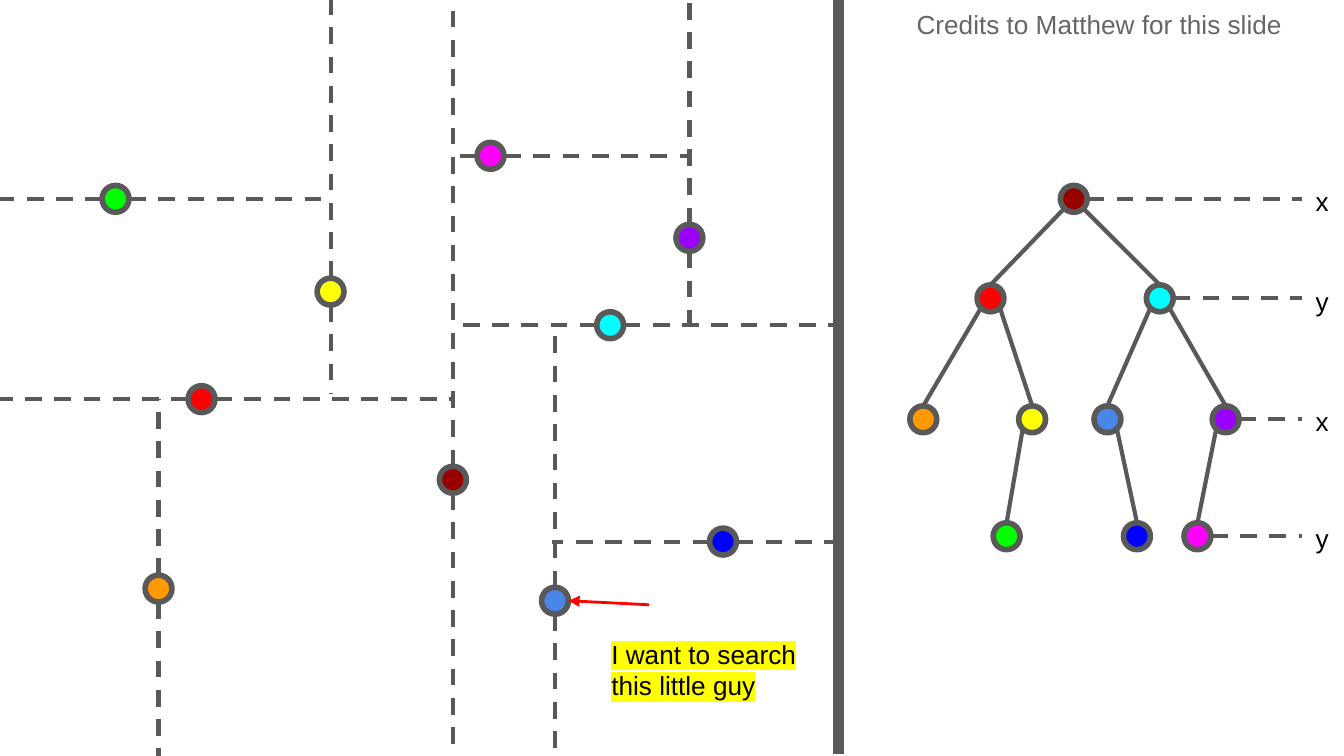
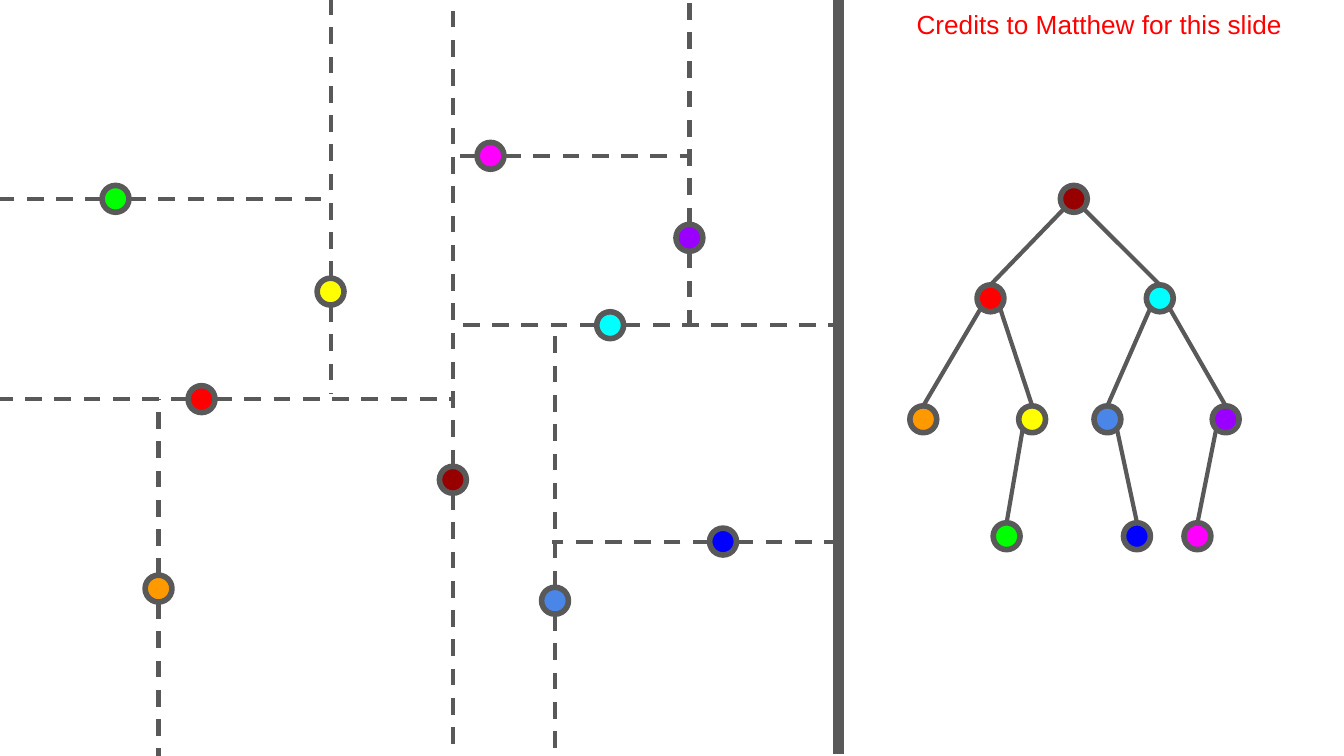
from pptx import Presentation
from pptx.dml.color import RGBColor
from pptx.enum.dml import MSO_LINE
from pptx.enum.shapes import MSO_CONNECTOR, MSO_SHAPE
from pptx.enum.text import PP_ALIGN
from pptx.oxml.ns import qn
from pptx.util import Inches, Pt
from lxml import etree

STRAIGHT = MSO_CONNECTOR.STRAIGHT
OVAL = MSO_SHAPE.OVAL
DASH = MSO_LINE.DASH
LEFT, CENTER = PP_ALIGN.LEFT, PP_ALIGN.CENTER

THEME = {
    "font": "Arial", "size": 14, "text": "000000", "muted": "666666",
    "alert": "FF0000", "highlight": "FFFF00", "line": "595959",
    "line_width": 2.25, "ring_width": 3, "divider_width": 6, "arrow_width": 1.5,
    "green": "00FF00", "yellow": "FFFF00", "red": "FF0000", "maroon": "980000",
    "cyan": "00FFFF", "navy": "0000FF", "purple": "9900FF", "blue": "4A86E8",
    "magenta": "FF00FF", "orange": "FF9900",
}

RADIUS = 0.1
DIAGONAL = 0.07

# colour, centre x, centre y, split axis, far ends of the split line
PLANE = [
    ("green", 0.86, 1.48, "y", -0.07, 2.47),
    ("yellow", 2.46, 2.17, "x", 0, 2.93),
    ("red", 1.5, 2.97, "y", -0.07, 3.37),
    ("maroon", 3.37, 3.57, "x", -0.05, 5.66),
    ("cyan", 4.54, 2.42, "y", 3.36, 6.25),
    ("navy", 5.38, 4.03, "y", 4.11, 6.26),
    ("purple", 5.13, 1.77, "x", 0.01, 2.43),
    ("blue", 4.13, 4.47, "x", 2.41, 5.64),
    ("magenta", 3.65, 1.16, "y", 3.38, 5.12),
    ("orange", 1.18, 4.38, "x", 2.97, 5.65),
]

LEVELS = [
    (1.48, "x", {"maroon": 7.99}),
    (2.22, "y", {"red": 7.37, "cyan": 8.63}),
    (3.12, "x", {"orange": 6.87, "yellow": 7.68, "blue": 8.24, "purple": 9.12}),
    (3.99, "y", {"green": 7.49, "navy": 8.46, "magenta": 8.91}),
]

EDGES = [
    ("maroon", "red"), ("maroon", "cyan"), ("red", "orange"), ("red", "yellow"),
    ("cyan", "blue"), ("cyan", "purple"), ("yellow", "green"),
    ("blue", "navy"), ("purple", "magenta"),
]


def add_line(s, x1, y1, x2, y2, color="line", width="line_width", dash=None, arrow=False):
    c = s.shapes.add_connector(STRAIGHT, Inches(x1), Inches(y1), Inches(x2), Inches(y2))
    c.line.color.rgb = RGBColor.from_string(THEME[color])
    c.line.width = Pt(THEME[width])
    if dash:
        c.line.dash_style = dash
    spPr = c._element.spPr
    if arrow:
        etree.SubElement(spPr.find(qn("a:ln")), qn("a:tailEnd"), type="triangle")
    etree.SubElement(spPr, qn("a:effectLst"))
    return c


def add_text(s, x, y, w, h, text, color="text", align=LEFT, highlight=None):
    tf = s.shapes.add_textbox(Inches(x), Inches(y), Inches(w), Inches(h)).text_frame
    tf.word_wrap = True
    for side in ("left", "top", "right", "bottom"):
        setattr(tf, f"margin_{side}", Inches(0.1))
    p = tf.paragraphs[0]
    p.alignment = align
    r = p.add_run()
    r.text = text
    for name, value in {"name": THEME["font"], "size": Pt(THEME["size"])}.items():
        setattr(r.font, name, value)
    r.font.color.rgb = RGBColor.from_string(THEME[color])
    if highlight:
        mark = etree.Element(qn("a:highlight"))
        etree.SubElement(mark, qn("a:srgbClr"), val=THEME[highlight])
        r.font._element.find(qn("a:solidFill")).addnext(mark)


prs = Presentation()
prs.slide_width = Inches(10)
prs.slide_height = prs.slide_width * 9 // 16

for credit_color, searching in (("muted", True), ("alert", False)):
    s = prs.slides.add_slide(prs.slide_layouts[6])

    centres = [(color, x, y) for color, x, y, *_ in PLANE]
    centres += [(color, x, y) for y, _, row in LEVELS for color, x in row.items()]
    tree = {}
    for color, x, y in centres:
        sp = s.shapes.add_shape(OVAL, Inches(x - RADIUS), Inches(y - RADIUS),
                                Inches(2 * RADIUS), Inches(2 * RADIUS))
        sp.shadow.inherit = False
        sp.fill.solid()
        sp.fill.fore_color.rgb = RGBColor.from_string(THEME[color])
        sp.line.color.rgb = RGBColor.from_string(THEME["line"])
        sp.line.width = Pt(THEME["ring_width"])
        tree[color] = (sp, x, y)

    for color, x, y, axis, low, high in PLANE:
        for end, side in ((low, -RADIUS), (high, RADIUS)):
            if axis == "x":
                add_line(s, x, y + side, x, end, dash=DASH)
            else:
                add_line(s, x + side, y, end, y, dash=DASH)

    for parent, child in EDGES:
        _, px, py = tree[parent]
        sp, cx, cy = tree[child]
        side = DIAGONAL if cx > px else -DIAGONAL
        edge = add_line(s, cx, cy - RADIUS, px + side, py + DIAGONAL)
        edge.begin_connect(sp, 0)

    add_line(s, 6.24, 0, 6.24, 5.61, width="divider_width")
    add_text(s, 6.45, -0.04, 3.46, 0.37, "Credits to Matthew for this slide",
             credit_color, CENTER)

    if searching:
        for y, axis, row in LEVELS:
            add_text(s, 9.69, y - 0.2, 0.32, 0.4, axis)
            add_line(s, max(row.values()) + RADIUS, y, 9.69, y, dash=DASH)
        add_text(s, 4.45, 4.65, 1.61, 0.66, "I want to search this little guy",
                 highlight="highlight")
        add_line(s, 4.83, 4.5, 4.23, 4.47, "alert", "arrow_width", arrow=True)

prs.save("out.pptx")
